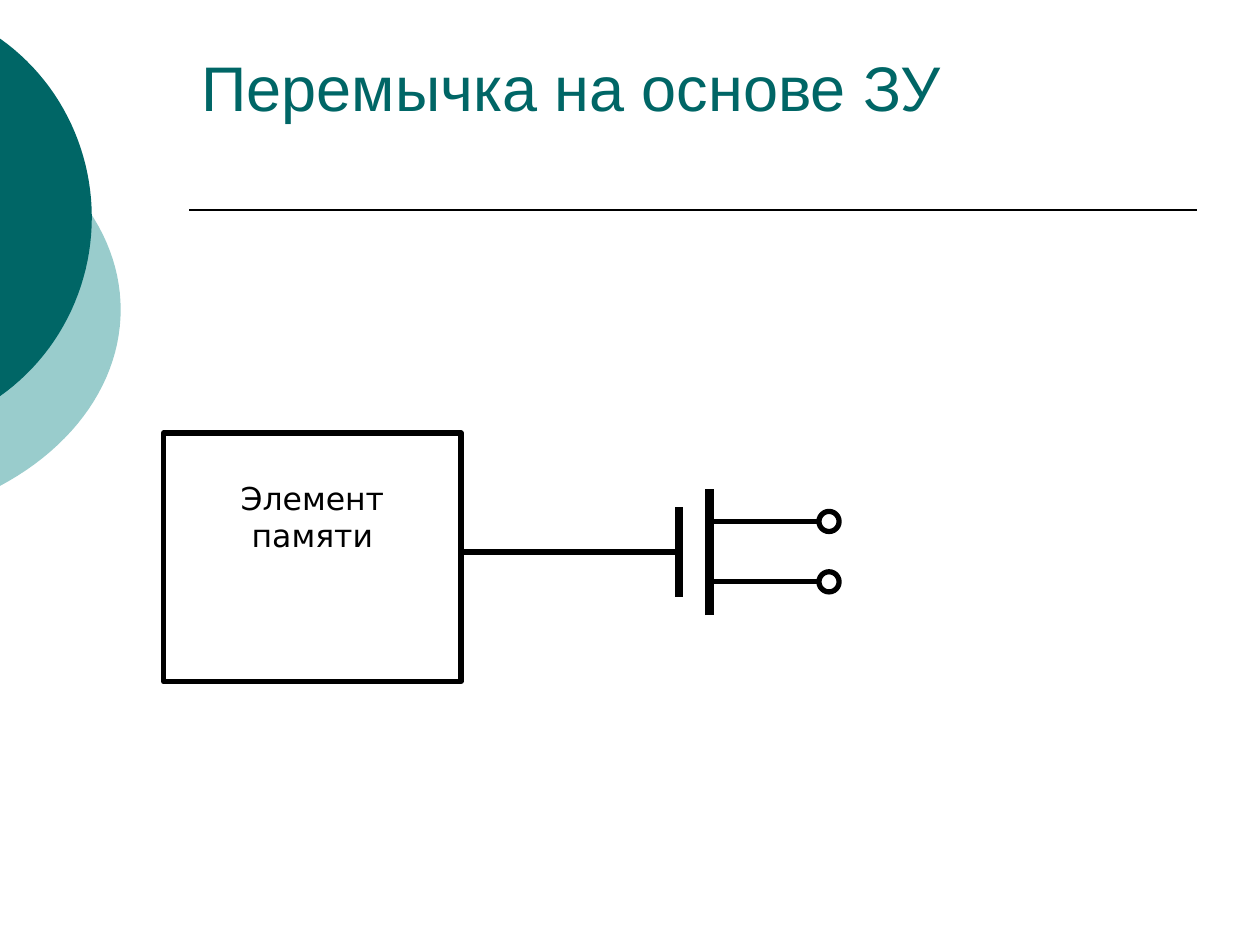
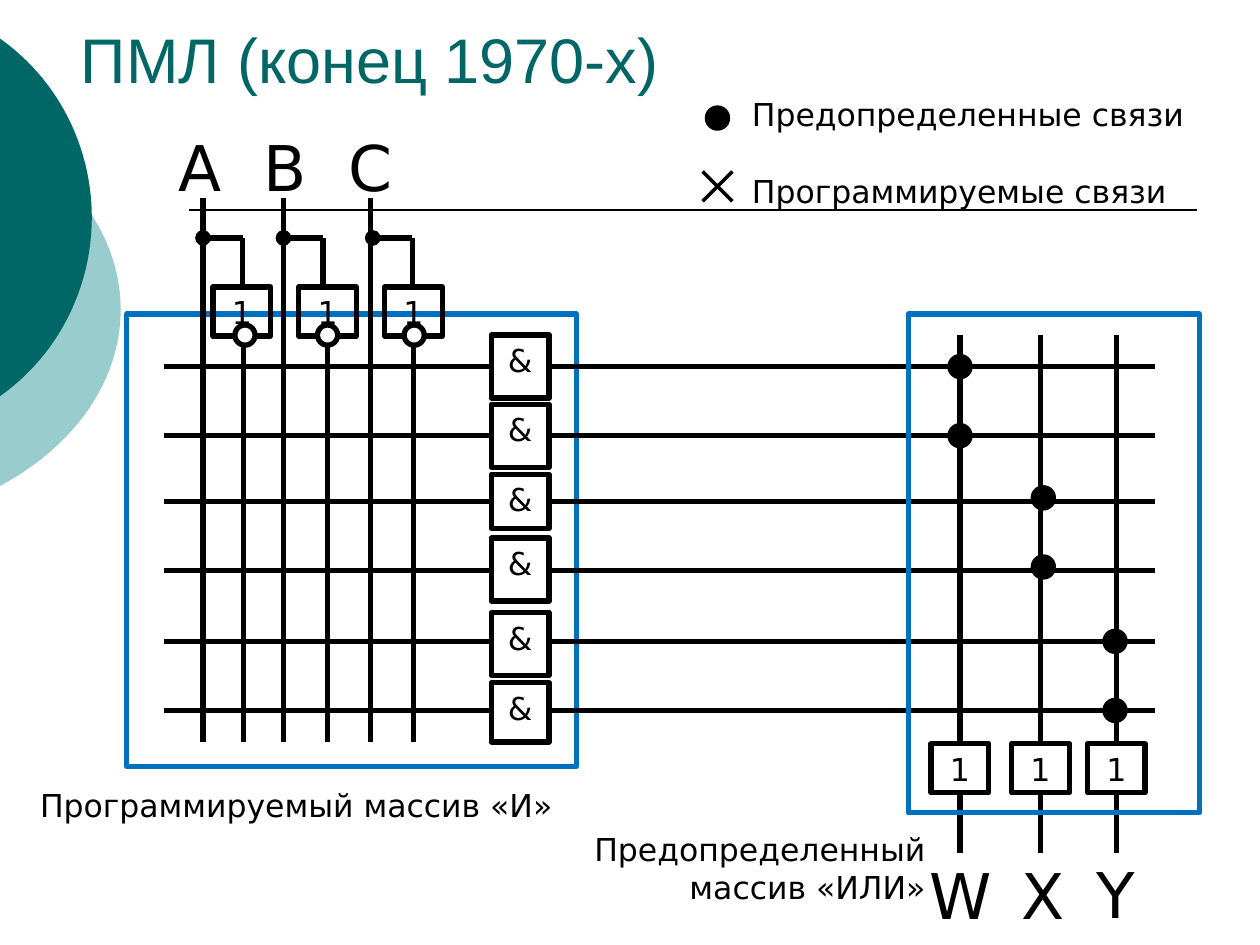
import math

import pptx
import pptx.dml.color
import pptx.enum.shapes
import pptx.enum.text
import pptx.oxml
import pptx.oxml.ns
import pptx.util

Pt = pptx.util.Pt
SHAPE = pptx.enum.shapes.MSO_SHAPE
ALIGN = pptx.enum.text.PP_ALIGN

# Shared style
TEAL, PALE_TEAL, BLUE = "006666", "99CCCC", "0070C0"
BLACK, WHITE = "000000", "FFFFFF"
TITLE_FONT, BODY_FONT = "Arial", "DejaVu Sans"
WIRE, THICK = 3, 5
SPOT = 11.5  # diameter of dots and terminals

# Side ellipses: left, top, width, height, colour
SIDE_ELLIPSES = [
    (-255, 54, 324, 246, PALE_TEAL),
    (-191, 0, 243.5, 248.5, TEAL),
]

# Slide 1: memory-controlled jumper
JUMPER_TITLE = "Перемычка на основе ЗУ"
MEMORY_LABEL = "Элемент памяти"
MEMORY_BOX = (93.5, 247.5, 170, 142)
GATE_Y = 315.5
GATE_PLATES = [(388, 25.5), (405.5, 36)]  # x, half height
TERMINAL_X = 468
TERMINAL_ROWS = [298, 332.5]

# Slide 2: programmable array logic
PAL_TITLE = "ПМЛ (конец 1970-х)"
AND_FRAME = (72.5, 179.5, 257, 258.5)
OR_FRAME = (519, 179.5, 166.5, 285)
# Product terms: wire y, gate top, gate height
TERMS = [
    (209.5, 191.5, 36),
    (249, 231, 36),
    (286.5, 271, 31),
    (326, 307.5, 36),
    (366.5, 350, 36),
    (406, 390, 34),
]
# Inputs: name, direct wire x, branch x, inverted wire x, bubble x
INPUTS = [
    ("A", 116, 116, 139, 140),
    ("B", 162, 162, 187.2, 187.2),
    ("C", 211.7, 213, 236.2, 236.7),
]
# Outputs: name, wire x, label left, label top, dot x, dot y shift, terms
OUTPUTS = [
    ("W", 548.6, 524.2, 486, 548.6, 0, (0, 1)),
    ("X", 594.7, 576.7, 486, 596.2, -2, (2, 3)),
    ("Y", 638, 619.2, 485.3, 637.2, 0, (4, 5)),
]
ARRAY_TOP, ARRAY_BOTTOM = 191.5, 424
LEGEND_X = 422.6
CAPTIONS = [
    ("Предопределенные связи", (LEGEND_X, 51, 285, 29), ALIGN.LEFT),
    ("Программируемые связи", (LEGEND_X, 95, 285, 29), ALIGN.LEFT),
    ("Программируемый массив «И»", (15.8, 445.7, 320, 29), ALIGN.LEFT),
    ("Предопределенный массив «ИЛИ»", (330, 471, 206, 50), ALIGN.RIGHT),
]


def rgb(color):
    return pptx.dml.color.RGBColor.from_string(color)


def points(values):
    return [Pt(v) for v in values]


def write(sp, text, size=18, font=BODY_FONT, color=BLACK, align=ALIGN.LEFT,
          top=3.6):
    tf = sp.text_frame
    tf.word_wrap = True
    tf.auto_size = pptx.enum.text.MSO_AUTO_SIZE.NONE
    tf.vertical_anchor = pptx.enum.text.MSO_ANCHOR.TOP
    tf.margin_left = tf.margin_right = Pt(7.2)
    tf.margin_top, tf.margin_bottom = Pt(top), Pt(3.6)
    p = tf.paragraphs[0]
    p.alignment = align
    r = p.add_run()
    r.text = text
    r.font.size, r.font.name = Pt(size), font
    r.font.color.rgb = rgb(color)


def add_text(s, text, box, **style):
    write(s.shapes.add_textbox(*points(box)), text, **style)


def add_box(s, box, kind=SHAPE.RECTANGLE, fill=None, line=BLACK):
    sp = s.shapes.add_shape(kind, *points(box))
    sp.shadow.inherit = False
    if fill:
        sp.fill.solid()
        sp.fill.fore_color.rgb = rgb(fill)
    else:
        sp.fill.background()
    sp.line.color.rgb = rgb(line)
    sp.line.width = Pt(WIRE)
    return sp


def add_gate(s, symbol, box, **style):
    write(add_box(s, box), symbol, align=ALIGN.CENTER, **style)


def add_spot(s, x, y, fill):
    box = (x - SPOT / 2, y - SPOT / 2, SPOT, SPOT)
    add_box(s, box, SHAPE.OVAL, fill)


def add_line(s, x1, y1, x2, y2, width=WIRE, dot_end=False):
    c = s.shapes.add_connector(pptx.enum.shapes.MSO_CONNECTOR.STRAIGHT,
                               *points((x1, y1, x2, y2)))
    c.line.color.rgb = rgb(BLACK)
    c.line.width = Pt(width)
    if dot_end:
        tail = pptx.oxml.parse_xml(
            f'<a:tailEnd {pptx.oxml.ns.nsdecls("a")} type="oval"/>')
        c.line._get_or_add_ln().append(tail)
    c._element.spPr.append(pptx.oxml.parse_xml(
        f'<a:effectLst {pptx.oxml.ns.nsdecls("a")}/>'))


def add_side_ellipse(s, left, top, width, height, color, steps=48):
    # The part of the ellipse to the right of the slide edge
    rx, ry = width / 2, height / 2
    cx, cy = left + rx, top + ry
    limit = math.acos(-cx / rx)
    angles = [limit * (2 * i / steps - 1) for i in range(steps + 1)]
    arc = [points((cx + rx * math.cos(a), cy + ry * math.sin(a)))
           for a in angles]
    builder = s.shapes.build_freeform(*arc[0])
    builder.add_line_segments(arc[1:], close=True)
    sp = builder.convert_to_shape()
    sp.shadow.inherit = False
    sp.fill.solid()
    sp.fill.fore_color.rgb = rgb(color)
    sp.line.fill.background()


def add_slide(prs, title, box):
    s = prs.slides.add_slide(prs.slide_layouts[5])
    for ellipse in SIDE_ELLIPSES:
        add_side_ellipse(s, *ellipse)
    add_line(s, 108, 120, 684, 120, width=1)
    sp = s.shapes.title
    sp.left, sp.top, sp.width, sp.height = points(box)
    write(sp, title, size=36, font=TITLE_FONT, color=TEAL)
    return s


def build_jumper(prs):
    s = add_slide(prs, JUMPER_TITLE, (108, 24, 576, 90))
    add_gate(s, MEMORY_LABEL, MEMORY_BOX, top=26)
    # Transistor
    add_line(s, MEMORY_BOX[0] + MEMORY_BOX[2], GATE_Y,
             GATE_PLATES[0][0], GATE_Y)
    for x, half in GATE_PLATES:
        add_line(s, x, GATE_Y + half, x, GATE_Y - half, width=THICK)
    for y in TERMINAL_ROWS:
        add_line(s, GATE_PLATES[1][0], y, TERMINAL_X, y)
        add_spot(s, TERMINAL_X + SPOT / 2, y, WHITE)


def build_pal(prs):
    s = add_slide(prs, PAL_TITLE, (39, 8, 615.5, 50))
    add_box(s, AND_FRAME, line=BLUE)

    # Product terms with AND gates
    for y, top, height in TERMS:
        add_line(s, 279.5, y, 93.5, y)
        add_gate(s, "&", (280.8, top, 33, height))
        add_line(s, 660, y, 314, y)

    # Inputs with inverters
    for i, (name, x, branch, inverted, bubble) in enumerate(INPUTS):
        add_text(s, name, (95 + 48.6 * i, 70, 45.5, 50), size=36)
        add_line(s, x, ARRAY_BOTTOM, x, 113)
        add_line(s, inverted, ARRAY_BOTTOM, inverted, ARRAY_TOP)
        corner = branch + 22.6
        add_line(s, corner, 136, branch, 136, dot_end=True)
        add_line(s, corner, 163.5, corner, 136)
        add_gate(s, "1", (121.7 + 49 * i, 164, 33, 28))
        add_spot(s, bubble, ARRAY_TOP, WHITE)

    # Outputs with OR gates
    for name, x, left, top, *_ in OUTPUTS:
        add_line(s, x, ARRAY_BOTTOM, x, ARRAY_TOP)
        add_gate(s, "1", (x - 16.6, 425, 33, 28))
        add_line(s, x, 487.5, x, 453)
        add_text(s, name, (left, top, 45.5, 50), size=36)

    # Legend and captions
    add_spot(s, 410, 67.5, BLACK)
    add_line(s, 401.5, 98, 418.5, 115, width=2)
    add_line(s, 418.5, 98, 401.5, 115, width=2)
    for text, box, align in CAPTIONS:
        add_text(s, text, box, align=align)

    # Predefined connections
    add_box(s, OR_FRAME, line=BLUE)
    for *_, dot_x, shift, terms in OUTPUTS:
        for term in terms:
            add_spot(s, dot_x, TERMS[term][0] + shift, BLACK)


def main():
    prs = pptx.Presentation()
    prs.slide_width, prs.slide_height = Pt(720), Pt(540)
    build_jumper(prs)
    build_pal(prs)
    prs.save("out.pptx")


if __name__ == "__main__":
    main()
